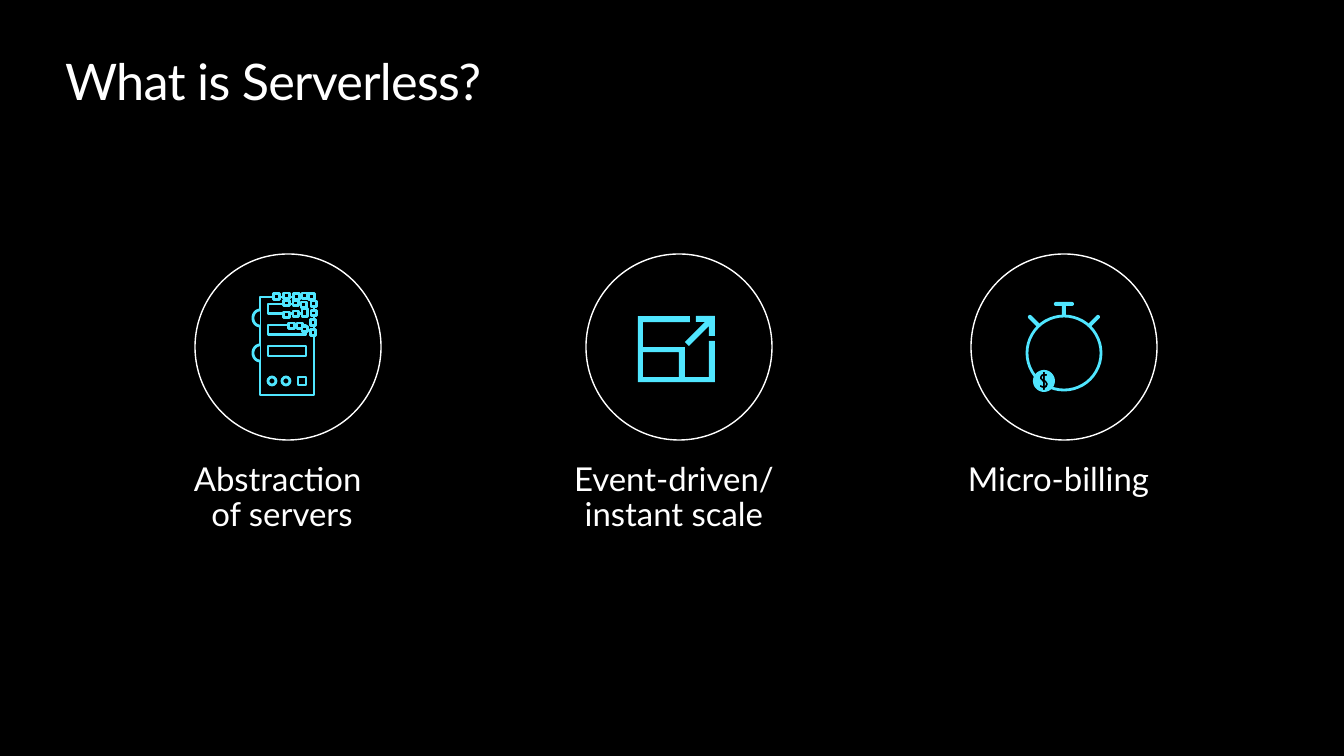
from dataclasses import dataclass
from math import atan2, cos, pi, sin

from pptx import Presentation
from pptx.dml.color import RGBColor
from pptx.enum.shapes import MSO_SHAPE
from pptx.enum.text import MSO_ANCHOR, MSO_AUTO_SIZE, PP_ALIGN
from pptx.shapes.autoshape import Shape
from pptx.slide import Slide
from pptx.text.text import TextFrame
from pptx.util import Emu, Pt

WIDE, HIGH = 1344, 756
SCALE = 12192000 / WIDE

Point = tuple[float, float]


@dataclass(frozen=True)
class Theme:
    back: RGBColor = RGBColor(0, 0, 0)
    text: RGBColor = RGBColor(255, 255, 255)
    icon: RGBColor = RGBColor(0x50, 0xE6, 0xFF)
    font: str = "Lato"
    title: float = 36
    label: float = 23.5
    ring: float = 1
    line: float = 2
    pixel: float = 2.13


@dataclass(frozen=True)
class Box:
    left: int
    top: int
    wide: int
    high: int


@dataclass(frozen=True)
class Topic:
    ring: int
    label: str
    box: Box


THEME = Theme()

TOPICS = [
    Topic(195, "Abstraction \nof servers", Box(145, 447, 284, 105)),
    Topic(586, "Event-driven/ instant scale", Box(532, 447, 294, 105)),
    Topic(971, "Micro-billing", Box(928, 447, 271, 69)),
]

PIXELS = [
    (274, 294), (294, 294), (302, 293), (309, 294), (301, 302), (293, 300),
    (284, 293), (311, 301), (311, 310), (310, 320), (310, 330), (293, 311),
    (297, 323), (302, 326), (289, 323), (284, 300), (284, 312),
]

FRAME = [
    (709, 377), (685, 377), (685, 347), (643, 347), (643, 322), (690, 322),
    (690, 316), (638, 316), (638, 382), (715, 382), (715, 341), (709, 341),
]
PANE = [(643, 352), (679, 352), (679, 377), (643, 377)]
ARROW = [
    (696, 322), (705, 322), (685, 342), (689, 346), (709, 326),
    (709, 336), (715, 336), (715, 316), (696, 316),
]

DOLLAR = [
    (1043, 372), (1043, 374), (1041, 375), (1040, 377), (1040, 379),
    (1041, 380), (1043, 382), (1043, 386), (1040, 385), (1040, 387),
    (1043, 388), (1043, 390), (1045, 390), (1045, 388), (1047, 387),
    (1048, 384), (1047, 382), (1045, 380), (1045, 376), (1047, 376),
    (1047, 374), (1045, 374), (1045, 372),
]
BOWLS = [
    [(1045, 382), (1046, 384), (1045, 386)],
    [(1043, 376), (1043, 379), (1042, 378), (1042, 377)],
]


def px(size: float) -> Emu:
    return Emu(round(size * SCALE))


def paint(shape: Shape, fill: RGBColor, line: RGBColor | None, width: float) -> None:
    shape.shadow.inherit = False
    shape.fill.solid()
    shape.fill.fore_color.rgb = fill
    if line is None:
        shape.line.fill.background()
    else:
        shape.line.color.rgb = line
        shape.line.width = Pt(width)


def draw(slide: Slide, kind: MSO_SHAPE, box: Box, line: RGBColor | None = THEME.icon,
         width: float = THEME.line) -> None:
    """Add a preset shape filled with the background colour."""
    shape = slide.shapes.add_shape(
        kind, px(box.left), px(box.top), px(box.wide), px(box.high))
    paint(shape, THEME.back, line, width)


def trace(slide: Slide, *loops: list[Point], fill: RGBColor = THEME.icon,
          line: RGBColor | None = None, close: bool = True) -> None:
    """Add one freeform made of the given contours."""
    paths = [[(px(x), px(y)) for x, y in loop] for loop in loops]
    pen = slide.shapes.build_freeform(*paths[0][0])
    for step, points in enumerate(paths):
        if step:
            pen.move_to(*points[0])
        pen.add_line_segments(points[1:], close=close)
    paint(pen.convert_to_shape(), fill, line, THEME.line)


def arc(x: float, y: float, wide: float, high: float, start: float, end: float,
        steps: int = 16) -> list[Point]:
    turns = [start + (end - start) * i / steps for i in range(steps + 1)]
    return [(x + wide * cos(t), y + high * sin(t)) for t in turns]


def pill(a: Point, b: Point, size: int = 2) -> list[Point]:
    """Outline a round-ended bar from a to b."""
    turn = atan2(b[1] - a[1], b[0] - a[0])
    return (arc(*b, size, size, turn - pi / 2, turn + pi / 2)
            + arc(*a, size, size, turn + pi / 2, turn + 3 * pi / 2))


def write(frame: TextFrame, text: str, *, size: float, align: PP_ALIGN,
          inset: tuple[int, int, int, int] = (0, 0, 0, 0), lead: float = 1,
          after: float = 0, track: int = 0,
          fit: MSO_AUTO_SIZE = MSO_AUTO_SIZE.NONE) -> None:
    frame.word_wrap = True
    frame.auto_size = fit
    frame.vertical_anchor = MSO_ANCHOR.TOP
    (frame.margin_left, frame.margin_top,
     frame.margin_right, frame.margin_bottom) = map(px, inset)
    para = frame.paragraphs[0]
    para.text = text
    para.alignment = align
    para.line_spacing = lead
    para.space_before = Pt(0)
    para.space_after = Pt(after)
    for run in para.runs:
        run.font.name = THEME.font
        run.font.size = Pt(size)
        run.font.color.rgb = THEME.text
        if track:
            run.font._element.set("spc", str(track))


def add_title(slide: Slide) -> None:
    title = slide.shapes.title
    title.left, title.top, title.width, title.height = map(px, (65, 50, 1215, 122))
    write(title.text_frame, "What is Serverless?", size=THEME.title,
          align=PP_ALIGN.LEFT, track=-50)


def add_topic(slide: Slide, topic: Topic) -> None:
    draw(slide, MSO_SHAPE.OVAL, Box(topic.ring, 254, 186, 186), THEME.text, THEME.ring)
    box = topic.box
    label = slide.shapes.add_textbox(
        px(box.left), px(box.top), px(box.wide), px(box.high))
    write(label.text_frame, topic.label, size=THEME.label, align=PP_ALIGN.CENTER,
          inset=(10, 16, 20, 16), lead=0.9, after=5.9,
          fit=MSO_AUTO_SIZE.SHAPE_TO_FIT_TEXT)


def add_server(slide: Slide) -> None:
    rect, oval = MSO_SHAPE.RECTANGLE, MSO_SHAPE.OVAL
    draw(slide, rect, Box(260, 297, 54, 98))
    for row in range(3):
        draw(slide, rect, Box(268, 304 + 21 * row, 38, 10))
    for mid in (318, 353):
        trace(slide, arc(260, mid, 7, 8, pi / 2, 3 * pi / 2), fill=THEME.back,
              line=THEME.icon, close=False)
    for kind, left in ((oval, 268), (oval, 282), (rect, 298)):
        draw(slide, kind, Box(left, 377, 8, 8))
    draw(slide, rect, Box(302, 309, 6, 8), width=THEME.pixel)
    for left, top in PIXELS:
        draw(slide, rect, Box(left, top, 6, 6), width=THEME.pixel)


def add_scale(slide: Slide) -> None:
    trace(slide, FRAME, PANE)
    trace(slide, ARROW)


def add_watch(slide: Slide) -> None:
    stem = [(1062, 306), (1066, 306), (1066, 316), (1062, 316)]
    trace(slide, pill((1056, 304), (1072, 304)), stem,
          pill((1030, 317), (1038, 325)), pill((1098, 317), (1090, 325)))
    draw(slide, MSO_SHAPE.OVAL, Box(1027, 316, 74, 74))
    draw(slide, MSO_SHAPE.OVAL, Box(1038, 372, 17, 17), line=None)
    trace(slide, arc(1044, 381, 11, 11, 0, 2 * pi, 48), DOLLAR, *BOWLS)


def main() -> None:
    deck = Presentation()
    deck.slide_width, deck.slide_height = px(WIDE), px(HIGH)
    slide = deck.slides.add_slide(deck.slide_layouts[5])
    slide.background.fill.solid()
    slide.background.fill.fore_color.rgb = THEME.back
    add_title(slide)
    for topic in TOPICS:
        add_topic(slide, topic)
    for add in (add_server, add_scale, add_watch):
        add(slide)
    deck.save("out.pptx")


if __name__ == "__main__":
    main()
